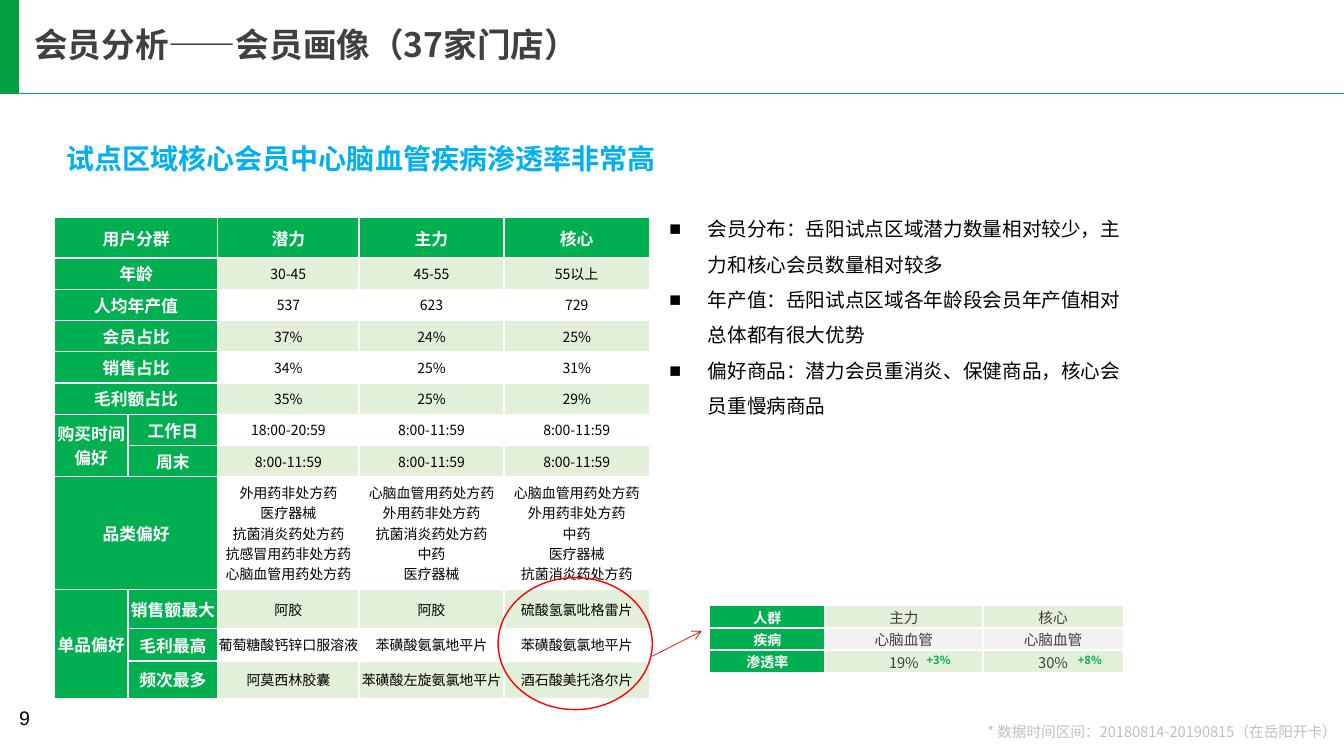
from lxml.etree import SubElement
from pptx import Presentation
from pptx.dml.color import RGBColor
from pptx.enum.shapes import MSO_CONNECTOR, MSO_SHAPE
from pptx.enum.text import MSO_ANCHOR as ANCHOR, MSO_AUTO_SIZE as AUTO, PP_ALIGN as ALIGN
from pptx.oxml.ns import qn
from pptx.util import Inches, Pt

GREEN = RGBColor(0x00, 0xB0, 0x50)
DARK_GREEN = RGBColor(0x02, 0x9E, 0x42)
PALE_GREEN = RGBColor(0xE2, 0xF0, 0xD9)
BLUE = RGBColor(0x00, 0xB0, 0xF0)
RED = RGBColor(0xFF, 0x00, 0x00)
WHITE = RGBColor(0xFF, 0xFF, 0xFF)
BLACK = RGBColor(0x00, 0x00, 0x00)
CHARCOAL = RGBColor(0x40, 0x40, 0x40)
SILVER = RGBColor(0xBF, 0xBF, 0xBF)
PALE_GRAY = RGBColor(0xF2, 0xF2, 0xF2)
FONT = "Noto Sans CJK SC"

SEGMENTS = [
    ["用户分群", "", "潜力", "主力", "核心"],
    ["年龄", "", "30-45", "45-55", "55以上"],
    ["人均年产值", "", "537", "623", "729"],
    ["会员占比", "", "37%", "24%", "25%"],
    ["销售占比", "", "34%", "25%", "31%"],
    ["毛利额占比", "", "35%", "25%", "29%"],
    ["购买时间\n偏好", "工作日", "18:00-20:59", "8:00-11:59", "8:00-11:59"],
    ["", "周末", "8:00-11:59", "8:00-11:59", "8:00-11:59"],
    ["品类偏好", "",
     "外用药非处方药\n医疗器械\n抗菌消炎药处方药\n抗感冒用药非处方药\n心脑血管用药处方药",
     "心脑血管用药处方药\n外用药非处方药\n抗菌消炎药处方药\n中药\n医疗器械",
     "心脑血管用药处方药\n外用药非处方药\n中药\n医疗器械\n抗菌消炎药处方药"],
    ["单品偏好", "销售额最大", "阿胶", "阿胶", "硫酸氢氯吡格雷片"],
    ["", "毛利最高", "葡萄糖酸钙锌口服溶液", "苯磺酸氨氯地平片", "苯磺酸氨氯地平片"],
    ["", "频次最多", "阿莫西林胶囊", "苯磺酸左旋氨氯地平片", "酒石酸美托洛尔片"],
]
PENETRATION = [
    ["人群", "主力", "核心"],
    ["疾病", "心脑血管", "心脑血管"],
    ["渗透率", "19%", "30%"],
]
FINDINGS = """会员分布：岳阳试点区域潜力数量相对较少，主力和核心会员数量相对较多
年产值：岳阳试点区域各年龄段会员年产值相对总体都有很大优势
偏好商品：潜力会员重消炎、保健商品，核心会员重慢病商品"""


def write(tf, text, size=10, color=BLACK, bold=False, font=FONT, align=ALIGN.LEFT,
          spacing=None, bullet=None):
    """Fill a text frame with one formatted paragraph per line of text."""
    for i, line in enumerate(text.split("\n")):
        p = tf.add_paragraph() if i else tf.paragraphs[0]
        p.alignment = align
        if spacing:
            p.line_spacing = spacing
        if bullet:
            pPr = p._p.get_or_add_pPr()
            pPr.set("marL", str(Inches(0.38)))
            pPr.set("indent", str(Inches(-0.38)))
            SubElement(pPr, qn("a:buFont")).set("typeface", "Arial")
            SubElement(pPr, qn("a:buChar")).set("char", bullet)
        r = p.add_run()
        r.text = line
        r.font.size, r.font.bold, r.font.name = Pt(size), bold, font
        r.font.color.rgb = color
        SubElement(r._r.get_or_add_rPr(), qn("a:ea")).set("typeface", font)


class Slide:
    """Holds the current slide and draws styled elements on it."""

    def __init__(self, prs):
        """Add a blank slide."""
        self.s = prs.slides.add_slide(prs.slide_layouts[6])

    def text(self, box, text, inset=(0, 0), anchor=ANCHOR.TOP, wrap=True, grow=False, **fmt):
        """Add a text box."""
        tf = self.s.shapes.add_textbox(*map(Inches, box)).text_frame
        tf.margin_left = tf.margin_right = Inches(inset[0])
        tf.margin_top = tf.margin_bottom = Inches(inset[1])
        tf.word_wrap, tf.vertical_anchor = wrap, anchor
        tf.auto_size = AUTO.SHAPE_TO_FIT_TEXT if grow else AUTO.NONE
        write(tf, text, **fmt)

    def shape(self, kind, box, fill=None, line=None):
        """Add a preset shape with an optional fill and outline."""
        sp = self.s.shapes.add_shape(kind, *map(Inches, box))
        sp.shadow.inherit = False
        for part, color in ((sp.fill, fill), (sp.line.fill, line)):
            if color is None:
                part.background()
            else:
                part.solid()
                part.fore_color.rgb = color
        if line is not None:
            sp.line.width = Pt(1)

    def line(self, start, end, color, width, arrow=False):
        """Add a straight line, with an arrowhead at its end if wanted."""
        c = self.s.shapes.add_connector(MSO_CONNECTOR.STRAIGHT, *map(Inches, start + end))
        c.line.color.rgb, c.line.width = color, Pt(width)
        if arrow:
            SubElement(c.line._get_or_add_ln(), qn("a:tailEnd")).set("type", "arrow")
        SubElement(c._element.spPr, qn("a:effectLst"))

    def table(self, left, top, cols, rows, data, style, inset=0, merges=()):
        """Add a table; style(row, col) gives each cell its fill and text format."""
        frame = self.s.shapes.add_table(len(rows), len(cols), Inches(left), Inches(top),
                                        Inches(sum(cols)), Inches(sum(rows)))
        t = frame.table
        t.first_row = t.horz_banding = False
        for col, width in zip(t.columns, cols):
            col.width = Inches(width)
        for row, height in zip(t.rows, rows):
            row.height = Inches(height)
        for i, values in enumerate(data):
            for j, value in enumerate(values):
                fill, fmt = style(i, j)
                self.cell(t.cell(i, j), value, fill, inset, **fmt)
        for first, last in merges:
            t.cell(*first).merge(t.cell(*last))

    def cell(self, cell, text, fill, inset, **fmt):
        """Style one table cell with white borders."""
        cell.margin_left = cell.margin_right = cell.margin_top = Inches(inset)
        cell.margin_bottom = 0
        cell.vertical_anchor = ANCHOR.MIDDLE
        for side in ("lnL", "lnR", "lnT", "lnB"):
            ln = SubElement(cell._tc.get_or_add_tcPr(), qn(f"a:{side}"), w=str(Pt(1)))
            SubElement(SubElement(ln, qn("a:solidFill")), qn("a:srgbClr")).set("val", str(WHITE))
        cell.fill.solid()
        cell.fill.fore_color.rgb = fill
        if text:
            write(cell.text_frame, text, align=ALIGN.CENTER, **fmt)


def segment_style(row, col):
    """Return the fill and format of a customer segment cell."""
    if row == 0 or col < 2:
        return GREEN, dict(size=12, color=WHITE, bold=True)
    return (PALE_GREEN if row % 2 else WHITE), dict(size=10)


def penetration_style(row, col):
    """Return the fill and format of a penetration cell."""
    if col == 0:
        return GREEN, dict(size=10, color=WHITE, bold=True)
    return (PALE_GRAY if row % 2 else PALE_GREEN), dict(size=10.5, color=CHARCOAL)


def main():
    """Build the slide and save it."""
    prs = Presentation()
    prs.slide_width, prs.slide_height = Inches(13.33), Inches(7.5)
    s = Slide(prs)
    s.line((0, 0.93), (13.33, 0.93), GREEN, 1)
    s.text((0.34, 0.28, 6.29, 0.36), "会员分析——会员画像（37家门店）", size=24,
           color=CHARCOAL, bold=True, spacing=0.9)
    s.shape(MSO_SHAPE.RECTANGLE, (0, -0.01, 0.19, 0.94), fill=DARK_GREEN)
    s.text((0.09, 6.95, 0.91, 0.4), "9", inset=(0.1, 0.05), size=14, font="Arial")
    merges = [((row, 0), (row, 1)) for row in (*range(6), 8)]
    merges += [((6, 0), (7, 0)), ((9, 0), (11, 0))]
    s.table(0.54, 2.16, [0.73, 0.89, 1.4, 1.44, 1.44],
            [0.4] + [0.31] * 7 + [1.12, 0.39, 0.32, 0.37],
            SEGMENTS, segment_style, merges=merges)
    s.text((0.66, 1.49, 12.06, 0.25), "试点区域核心会员中心脑血管疾病渗透率非常高",
           anchor=ANCHOR.MIDDLE, grow=True, size=20, color=BLUE, bold=True, spacing=Pt(18))
    s.text((6.64, 2.03, 4.61, 2.12), FINDINGS, anchor=ANCHOR.MIDDLE, grow=True,
           size=14, spacing=1.5, bullet="■")
    s.table(7.04, 6.01, [1.14, 1.57, 1.39], [0.22] * 3, PENETRATION, penetration_style,
            inset=0.01)
    for left, change in ((9.18, "+3%"), (10.68, "+8%")):
        s.text((left, 6.48, 0.26, 0.13), change, wrap=False, grow=True, size=8,
               color=GREEN, bold=True, align=ALIGN.CENTER)
    s.text((9.61, 7.19, 3.65, 0.16), "* 数据时间区间：20180814-20190815（在岳阳开卡）",
           wrap=False, grow=True, size=10.5, color=SILVER, align=ALIGN.RIGHT, spacing=0.9)
    s.line((6.47, 6.51), (6.96, 6.26), RED, 0.5, arrow=True)
    s.shape(MSO_SHAPE.OVAL, (4.94, 5.73, 1.53, 1.31), line=RED)
    prs.save("out.pptx")


if __name__ == "__main__":
    main()
